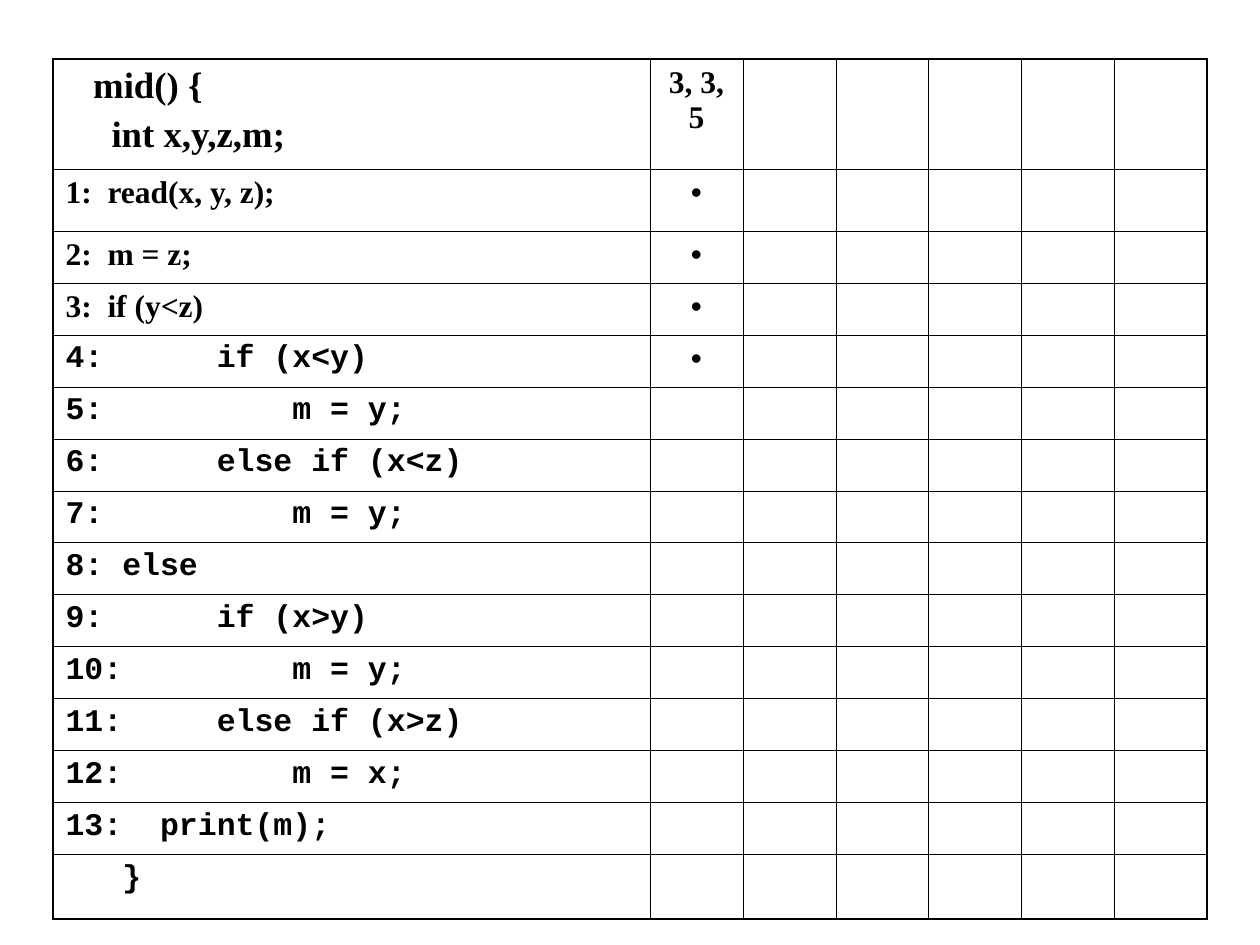
from lxml import etree
from pptx import Presentation
from pptx.dml.color import RGBColor
from pptx.enum.text import PP_ALIGN
from pptx.oxml.ns import qn
from pptx.util import Pt

EMU_PER_PX = 914400 // 126
CENTER = PP_ALIGN.CENTER
BLACK = RGBColor(0, 0, 0)
WHITE = RGBColor(255, 255, 255)
SERIF = "Times New Roman"
MONO = "Courier New"
BULLET_FONT = "Arial"
INNER_LINE = Pt(0.45)
OUTER_LINE = Pt(1.08)

TABLE_LEFT, TABLE_TOP = 53, 59
COLUMN_WIDTHS = [597] + [93] * 5 + [92]
ROW_HEIGHTS = [110, 62] + [52] * 12 + [64]
HEADER = "   mid() {\n     int x,y,z,m;"
TEST_INPUT = "3, 3, 5"
SERIF_STATEMENTS = [
    "1:  read(x, y, z);",
    "2:  m = z;",
    "3:  if (y<z)",
]
MONO_STATEMENTS = [
    "4:      if (x<y)",
    "5:          m = y;",
    "6:      else if (x<z)",
    "7:          m = y;",
    "8: else",
    "9:      if (x>y)",
    "10:         m = y;",
    "11:     else if (x>z)",
    "12:         m = x;",
    "13:  print(m);",
    "   }",
]
EXECUTED_ROWS = range(1, 5)


def px(length):
    return length * EMU_PER_PX


def set_borders(cell, widths):
    properties = cell._tc.get_or_add_tcPr()
    for side, width in widths.items():
        line = etree.SubElement(properties, qn(f"a:ln{side}"), w=str(int(width)))
        fill = etree.SubElement(line, qn("a:solidFill"))
        etree.SubElement(fill, qn("a:srgbClr"), val=str(BLACK))


def write_cell(cell, text, font_name, size=18, bold=True, align=None):
    cell.text_frame.text = text
    for index, paragraph in enumerate(cell.text_frame.paragraphs):
        paragraph.alignment = align
        if index:
            paragraph.space_before = Pt(5.2)
        for run in paragraph.runs:
            run.font.name = font_name
            run.font.size = Pt(size)
            run.font.bold = bold
            run.font.color.rgb = BLACK


def add_grid(slide):
    row_count, column_count = len(ROW_HEIGHTS), len(COLUMN_WIDTHS)
    grid = slide.shapes.add_table(
        row_count, column_count, px(TABLE_LEFT), px(TABLE_TOP),
        px(sum(COLUMN_WIDTHS)), px(sum(ROW_HEIGHTS))).table
    grid.first_row = False
    grid.horz_banding = False
    for column, width in zip(grid.columns, COLUMN_WIDTHS):
        column.width = px(width)
    for row_index, (row, height) in enumerate(zip(grid.rows, ROW_HEIGHTS)):
        row.height = px(height)
        for column_index, cell in enumerate(row.cells):
            on_edge = {
                "L": column_index == 0,
                "R": column_index == column_count - 1,
                "T": row_index == 0,
                "B": row_index == row_count - 1,
            }
            set_borders(cell, {side: OUTER_LINE if outer else INNER_LINE
                               for side, outer in on_edge.items()})
            cell.fill.solid()
            cell.fill.fore_color.rgb = WHITE
    return grid


def main():
    deck = Presentation()
    deck.slide_width, deck.slide_height = px(1260), px(945)
    slide = deck.slides.add_slide(deck.slide_layouts[6])
    coverage = add_grid(slide)

    write_cell(coverage.cell(0, 0), HEADER, SERIF, size=21)
    write_cell(coverage.cell(0, 1), TEST_INPUT, SERIF, align=CENTER)
    statements = ([(text, SERIF) for text in SERIF_STATEMENTS]
                  + [(text, MONO) for text in MONO_STATEMENTS])
    for row, (statement, font_name) in enumerate(statements, start=1):
        write_cell(coverage.cell(row, 0), statement, font_name)
    for row in EXECUTED_ROWS:
        write_cell(coverage.cell(row, 1), "•", BULLET_FONT, bold=False, align=CENTER)

    deck.save("out.pptx")


if __name__ == "__main__":
    main()
